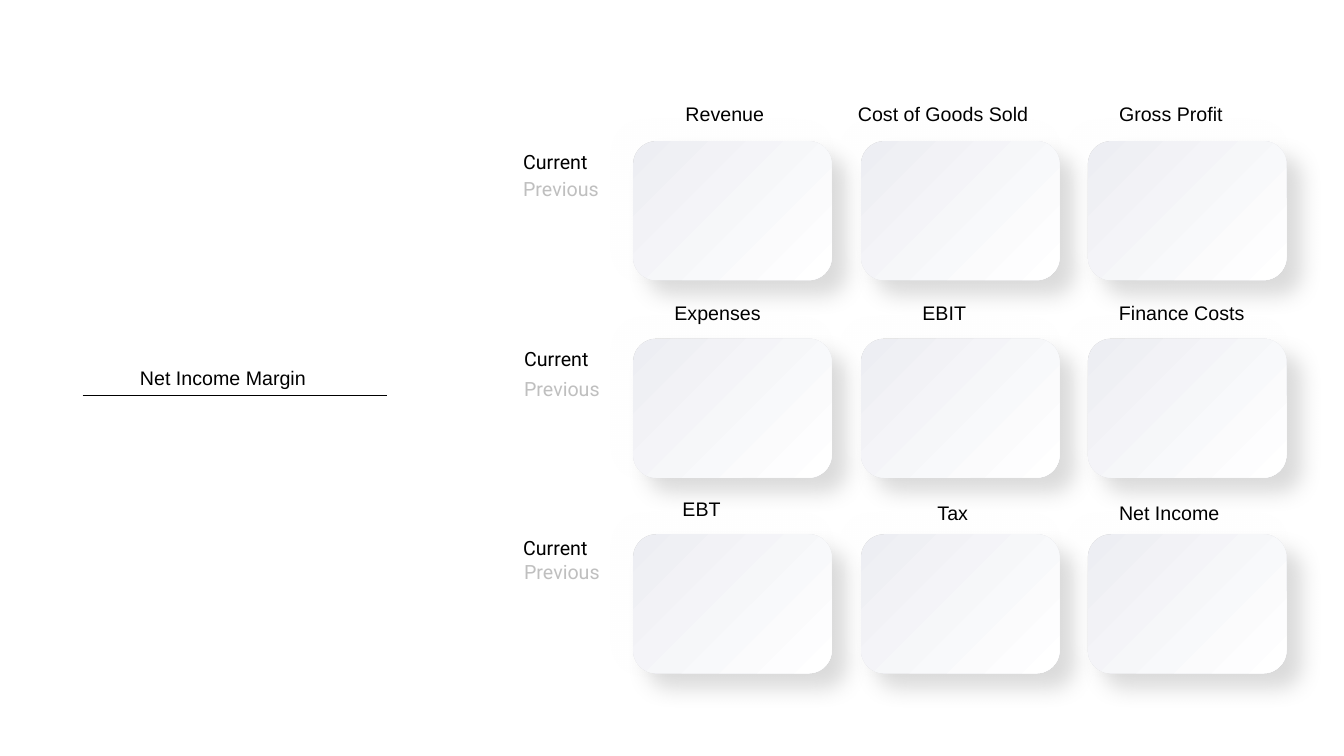
from lxml.etree import SubElement
from pptx import Presentation
from pptx.dml.color import RGBColor
from pptx.enum.shapes import MSO_CONNECTOR, MSO_SHAPE
from pptx.enum.text import MSO_AUTO_SIZE, PP_ALIGN
from pptx.oxml.ns import qn
from pptx.util import Inches, Pt

COLORS = {
    "text": "000000",
    "muted": "BFBFBF",
    "card_start": "EDEEF3",
    "card_end": "FFFFFF",
    "highlight": "FFFFFF",
    "shade": "A6A6A6",
}


def color(name):
    return RGBColor.from_string(COLORS[name])


class Dashboard:
    """Holds the text style and the current slide."""

    text_size = Pt(14)
    label_height = Inches(0.34)
    card_size = (Inches(1.97), Inches(1.38))

    def __init__(self, page):
        self.page = page

    def label(self, text, left, top, width, font="Arial", tone="text", align=PP_ALIGN.LEFT):
        box = self.page.shapes.add_textbox(
            Inches(left), Inches(top), Inches(width), self.label_height)
        frame = box.text_frame
        frame.word_wrap = True
        frame.auto_size = MSO_AUTO_SIZE.SHAPE_TO_FIT_TEXT
        para = frame.paragraphs[0]
        para.alignment = align
        span = para.add_run()
        span.text = text
        for name, value in {"name": font, "size": self.text_size}.items():
            setattr(span.font, name, value)
        span.font.color.rgb = color(tone)

    def shadow(self, shape, tone, reach, angle):
        shape.shadow.inherit = False
        effects = shape._element.spPr.find(qn("a:effectLst"))
        outer = SubElement(effects, qn("a:outerShdw"), {
            "blurRad": str(Pt(reach)), "dist": str(Pt(reach)),
            "dir": str(angle * 60000), "algn": "ctr", "rotWithShape": "0"})
        tint = SubElement(outer, qn("a:srgbClr"), val=COLORS[tone])
        SubElement(tint, qn("a:alpha"), val="40000")

    def card(self, left, top):
        group = self.page.shapes.add_group_shape()
        layers = [group.shapes.add_shape(
            MSO_SHAPE.ROUNDED_RECTANGLE, Inches(left), Inches(top), *self.card_size)
            for _ in range(2)]
        for layer in layers:
            layer.line.fill.background()
        base, face = layers
        base.fill.solid()
        base.fill.fore_color.rgb = color("muted")
        self.shadow(base, "highlight", 10, 225)
        face.fill.gradient()
        face.fill.gradient_angle = 315
        for stop, tone in zip(face.fill.gradient_stops, ("card_start", "card_end")):
            stop.color.rgb = color(tone)
        self.shadow(face, "shade", 15, 45)

    def rule(self, left, right, top):
        line = self.page.shapes.add_connector(
            MSO_CONNECTOR.STRAIGHT, Inches(left), Inches(top), Inches(right), Inches(top))
        line.line.color.rgb = color("text")
        line.line.width = Pt(0.5)
        SubElement(line._element.spPr, qn("a:effectLst"))


def main():
    deck = Presentation()
    deck.slide_width, deck.slide_height = Inches(13.33), Inches(7.5)
    board = Dashboard(deck.slides.add_slide(deck.slide_layouts[6]))

    # Grid of cards
    for top in (1.4, 3.36, 5.3):
        for left in (6.28, 8.54, 10.79):
            board.card(left, top)

    # Card headings: text, left, top, width
    headings = [
        ("Revenue", 6.7, 0.96, 1.14),
        ("Cost of Goods Sold", 8.41, 0.96, 2.38),
        ("Gross Profit", 11, 0.96, 1.55),
        ("Expenses", 6.59, 2.94, 1.25),
        ("EBIT", 9.05, 2.94, 1.89),
        ("Finance Costs", 11, 2.94, 1.76),
        ("EBT", 6.67, 4.88, 2.79),
        ("Net Income", 11, 4.92, 1.55),
    ]
    for heading in headings:
        board.label(*heading)
    board.label("Tax", 8.26, 4.92, 2.38, align=PP_ALIGN.CENTER)

    # Period labels beside each row
    periods = [((5.09, 1.44), (5.09, 1.71)),
               ((5.1, 3.39), (5.1, 3.69)),
               ((5.09, 5.27), (5.1, 5.51))]
    for current, previous in periods:
        board.label("Current", *current, 1.27, font="Roboto")
        board.label("Previous", *previous, 1.27, font="Roboto", tone="muted")

    # Margin heading with its rule
    board.label("Net Income Margin", 1.29, 3.58, 2.36)
    board.rule(0.82, 3.84, 3.92)

    deck.save("out.pptx")


if __name__ == "__main__":
    main()
